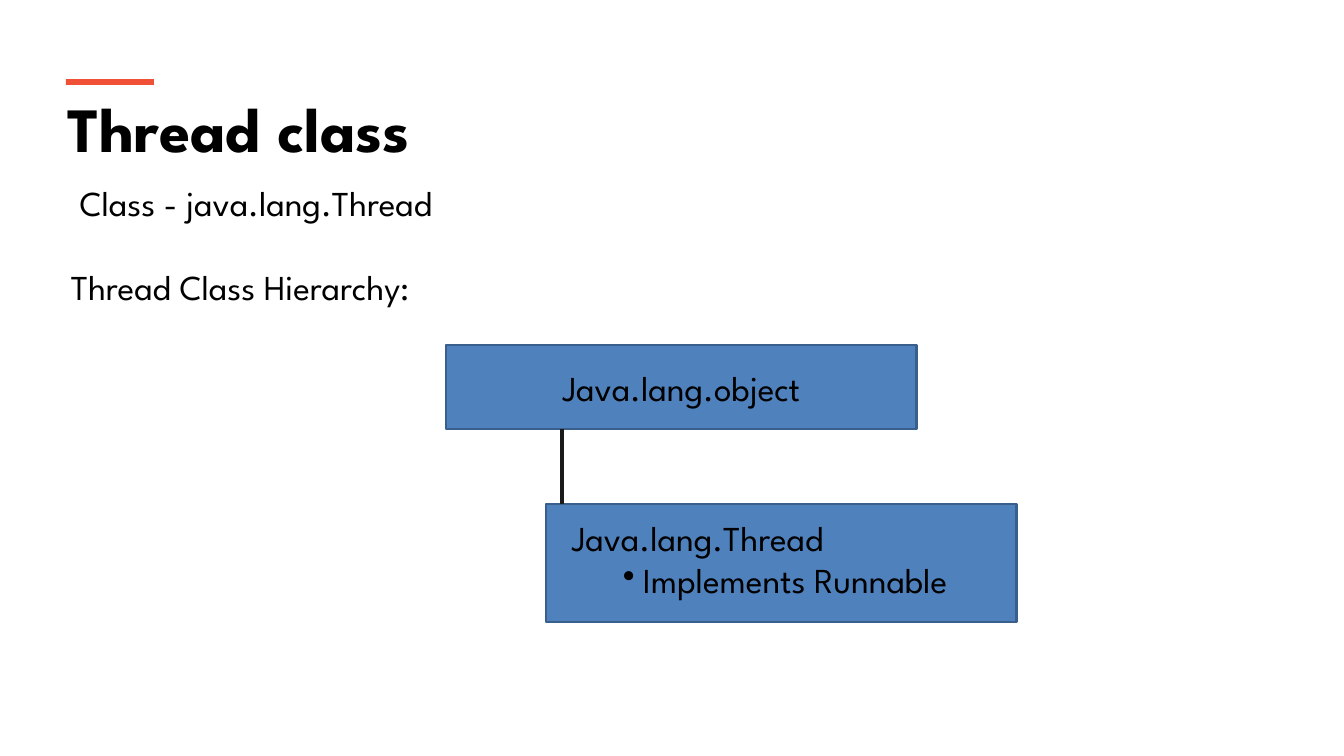
import pptx
import pptx.dml.color
import pptx.enum.shapes
import pptx.enum.text
import pptx.oxml
import pptx.oxml.ns
import pptx.util

FONT = "League Spartan"
BLACK, ACCENT, BOX_FILL, BOX_LINE, LINK = "000000", "F05136", "4F81BD", "3A5F8C", "1A1A1A"
TITLE_SIZE, BODY_SIZE = 45, 25
PARAGRAPH_GAP = 30  # points
BULLET_INDENT = 20  # px

# Places are left, top, width, height in px
SLIDE_SIZE = (1344, 756)
ACCENT_BAR = (66, 79, 88, 6)
PARENT_BOX = (446, 345, 471, 84)
CHILD_BOX = (546, 504, 471, 118)
LINK_X = 562

PARENT_LABEL = "Java.lang.object"
TITLE = ("Thread class", (58, 85, 1228, 87))
BODY = (" Class - java.lang.Thread\nThread Class Hierarchy:", (61, 177, 1224, 142))
CHILD_LABEL = ("Java.lang.Thread", (562, 512, 328, 52))
CHILD_DETAIL = ("Implements Runnable", (613, 554, 403, 52))


def px(length):
    return round(length * 914400 / 100.8)


def color(value):
    return pptx.dml.color.RGBColor.from_string(value)


def write(text_frame, text, size=BODY_SIZE, bold=False):
    text_frame.word_wrap = True
    text_frame.text = text
    for paragraph in text_frame.paragraphs:
        for run in paragraph.runs:
            run.font.name = FONT
            run.font.size = pptx.util.Pt(size)
            run.font.bold = bold
            run.font.color.rgb = color(BLACK)


def add_text(slide, text, place, **style):
    box = slide.shapes.add_textbox(*map(px, place))
    write(box.text_frame, text, **style)
    box.text_frame.auto_size = pptx.enum.text.MSO_AUTO_SIZE.SHAPE_TO_FIT_TEXT
    return box.text_frame.paragraphs


def add_rectangle(slide, place, fill, line=None):
    shape = slide.shapes.add_shape(pptx.enum.shapes.MSO_SHAPE.RECTANGLE, *map(px, place))
    shape.shadow.inherit = False
    shape.fill.solid()
    shape.fill.fore_color.rgb = color(fill)
    if line:
        shape.line.color.rgb = color(line)
        shape.line.width = pptx.util.Pt(2)
    else:
        shape.line.fill.background()
    return shape


def add_bullet(paragraph):
    properties = paragraph._p.get_or_add_pPr()
    properties.set("marL", str(px(BULLET_INDENT)))
    properties.set("indent", str(-px(BULLET_INDENT)))
    bullet = pptx.oxml.parse_xml(f'<a:buChar {pptx.oxml.ns.nsdecls("a")} char="•"/>')
    properties.append(bullet)


def add_link(slide, x, top, bottom):
    link = slide.shapes.add_connector(
        pptx.enum.shapes.MSO_CONNECTOR.STRAIGHT, px(x), px(top), px(x), px(bottom))
    link.line.color.rgb = color(LINK)
    link.line.width = pptx.util.Pt(2.25)
    no_effects = pptx.oxml.parse_xml(f'<a:effectLst {pptx.oxml.ns.nsdecls("a")}/>')
    link._element.spPr.append(no_effects)


def main():
    presentation = pptx.Presentation()
    presentation.slide_width, presentation.slide_height = map(px, SLIDE_SIZE)
    slide = presentation.slides.add_slide(presentation.slide_layouts[6])

    add_text(slide, *TITLE, size=TITLE_SIZE, bold=True)
    add_rectangle(slide, ACCENT_BAR, ACCENT)
    body = add_text(slide, *BODY)
    body[1].space_before = pptx.util.Pt(PARAGRAPH_GAP)

    parent = add_rectangle(slide, PARENT_BOX, BOX_FILL, BOX_LINE)
    write(parent.text_frame, PARENT_LABEL)
    parent.text_frame.vertical_anchor = pptx.enum.text.MSO_ANCHOR.MIDDLE
    parent.text_frame.paragraphs[0].alignment = pptx.enum.text.PP_ALIGN.CENTER

    add_rectangle(slide, CHILD_BOX, BOX_FILL, BOX_LINE)
    add_text(slide, *CHILD_LABEL)
    detail = add_text(slide, *CHILD_DETAIL)
    add_bullet(detail[0])
    add_link(slide, LINK_X, PARENT_BOX[1] + PARENT_BOX[3], CHILD_BOX[1])

    presentation.save("out.pptx")


if __name__ == "__main__":
    main()
